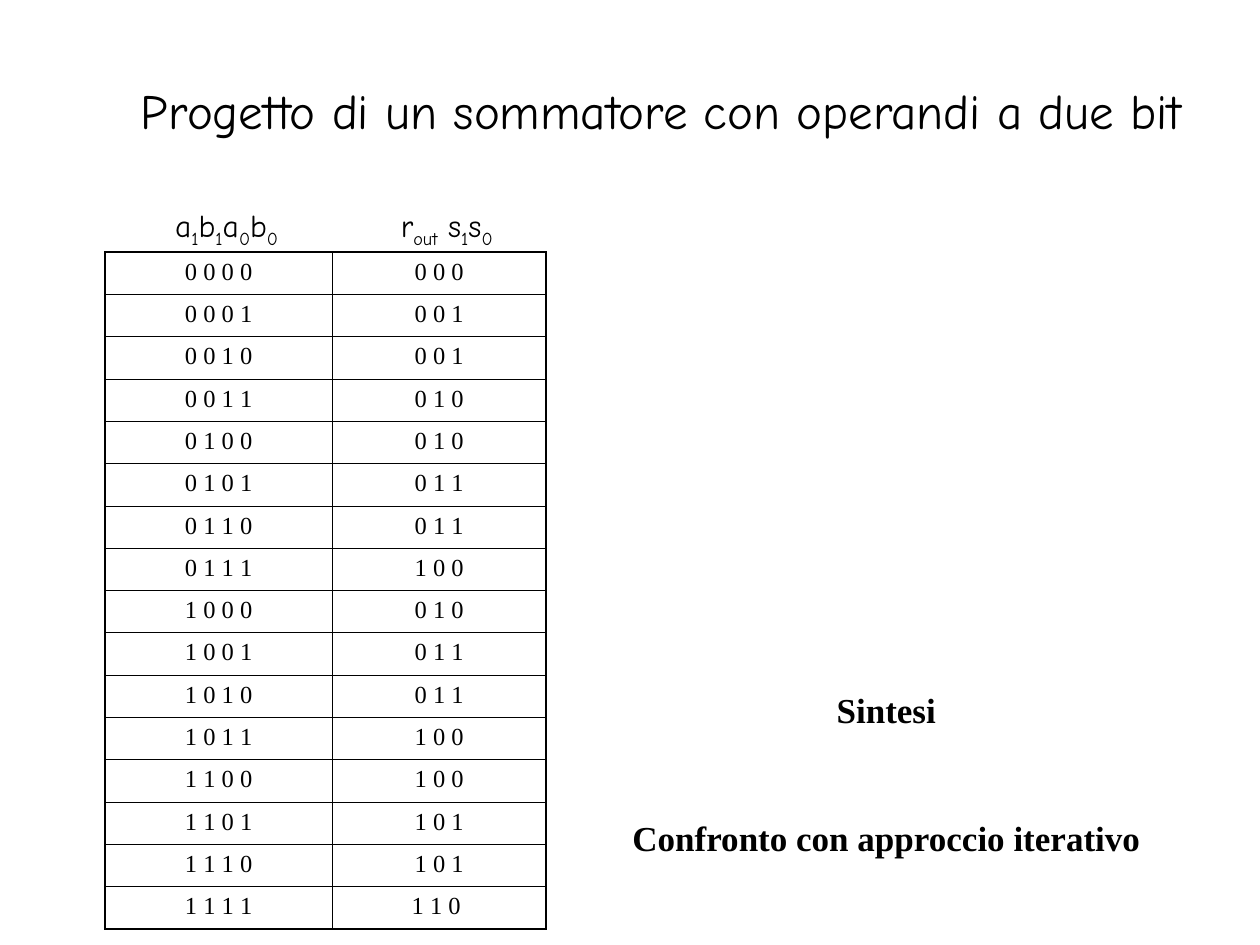
from lxml import etree
from pptx import Presentation
from pptx.dml.color import RGBColor
from pptx.enum.text import MSO_ANCHOR, PP_ALIGN
from pptx.oxml.ns import qn
from pptx.util import Pt

CENTER, LEFT = PP_ALIGN.CENTER, PP_ALIGN.LEFT
MIDDLE, TOP = MSO_ANCHOR.MIDDLE, MSO_ANCHOR.TOP
HAND, SERIF = "Comic Neue", "Times New Roman"
BLACK = "000000"

TITLE = "Progetto di un sommatore con operandi a due bit"
# Column headings: (text, is subscript), with the left edge of each box
HEADINGS = [
    (93, [("a", False), ("1", True), ("b", False), ("1", True),
          ("a", False), ("0", True), ("b", False), ("0", True)]),
    (222, [("r", False), ("out", True), (" s", False), ("1", True),
           ("s", False), ("0", True)]),
]
TRUTH_TABLE = [
    ("0 0 0 0", "0 0 0"),
    ("0 0 0 1", "0 0 1"),
    ("0 0 1 0", "0 0 1"),
    ("0 0 1 1", "0 1 0"),
    ("0 1 0 0", "0 1 0"),
    ("0 1 0 1", "0 1 1"),
    ("0 1 1 0", "0 1 1"),
    ("0 1 1 1", "1 0 0"),
    ("1 0 0 0", "0 1 0"),
    ("1 0 0 1", "0 1 1"),
    ("1 0 1 0", "0 1 1"),
    ("1 0 1 1", "1 0 0"),
    ("1 1 0 0", "1 0 0"),
    ("1 1 0 1", "1 0 1"),
    ("1 1 1 0", "1 0 1"),
    ("1 1 1 1", "1 1 0 "),
]
TOPICS = ["Sintesi", "Confronto con approccio iterativo"]

TABLE_LEFT, TABLE_TOP, ROW_HEIGHT = 60, 144, 24.2
COLUMN_WIDTHS = [130, 122]
OUTER, INNER = 1.08, 0.45


def rgb(color):
    return RGBColor.from_string(color)


def write(tf, paragraphs, font, size, bold=False, align=LEFT, gap=0):
    """Fill a text frame; a paragraph is a string or a list of (text, is subscript)."""
    for i, runs in enumerate(paragraphs):
        p = tf.add_paragraph() if i else tf.paragraphs[0]
        p.alignment = align
        if i:
            p.space_before = Pt(gap)
        if isinstance(runs, str):
            runs = [(runs, False)]
        for text, subscript in runs:
            r = p.add_run()
            r.text = text
            r.font.name, r.font.size, r.font.bold = font, Pt(size), bold
            r.font.color.rgb = rgb(BLACK)
            if subscript:
                r.font._element.set("baseline", "-25000")


def add_text(slide, left, top, width, height, paragraphs, **fmt):
    tf = slide.shapes.add_textbox(Pt(left), Pt(top), Pt(width), Pt(height)).text_frame
    tf.word_wrap = True
    write(tf, paragraphs, **fmt)


def set_borders(cell, **widths):
    tc_pr = cell._tc.get_or_add_tcPr()
    for side, width in widths.items():
        ln = etree.SubElement(tc_pr, qn(f"a:ln{side}"), w=str(int(Pt(width))))
        fill = etree.SubElement(ln, qn("a:solidFill"))
        etree.SubElement(fill, qn("a:srgbClr"), val=BLACK)


def add_truth_table(slide):
    rows, cols = len(TRUTH_TABLE), len(COLUMN_WIDTHS)
    table = slide.shapes.add_table(
        rows, cols, Pt(TABLE_LEFT), Pt(TABLE_TOP),
        Pt(sum(COLUMN_WIDTHS)), Pt(rows * ROW_HEIGHT)).table
    table.first_row = table.horz_banding = False
    for column, width in zip(table.columns, COLUMN_WIDTHS):
        column.width = Pt(width)
    for i, values in enumerate(TRUTH_TABLE):
        table.rows[i].height = Pt(ROW_HEIGHT)
        for j, value in enumerate(values):
            cell = table.cell(i, j)
            set_borders(cell,
                        L=OUTER if j == 0 else INNER,
                        R=OUTER if j == cols - 1 else INNER,
                        T=OUTER if i == 0 else INNER,
                        B=OUTER if i == rows - 1 else INNER)
            cell.fill.background()
            cell.vertical_anchor = TOP
            write(cell.text_frame, [value], font=SERIF, size=14, align=CENTER)


def main():
    prs = Presentation()
    prs.slide_width, prs.slide_height = Pt(720), Pt(540)
    slide = prs.slides.add_slide(prs.slide_layouts[5])

    title = slide.shapes.title
    title.left, title.top, title.width, title.height = Pt(36), Pt(18), Pt(684), Pt(90)
    title.text_frame.vertical_anchor = MIDDLE
    write(title.text_frame, [TITLE], font=HAND, size=28, align=CENTER)

    add_truth_table(slide)
    for left, runs in HEADINGS:
        add_text(slide, left, 114, 100, 32, [runs], font=HAND, size=18)
    add_text(slide, 354, 390, 305, 127, TOPICS,
             font=SERIF, size=20, bold=True, align=CENTER, gap=49)

    prs.save("out.pptx")


if __name__ == "__main__":
    main()
